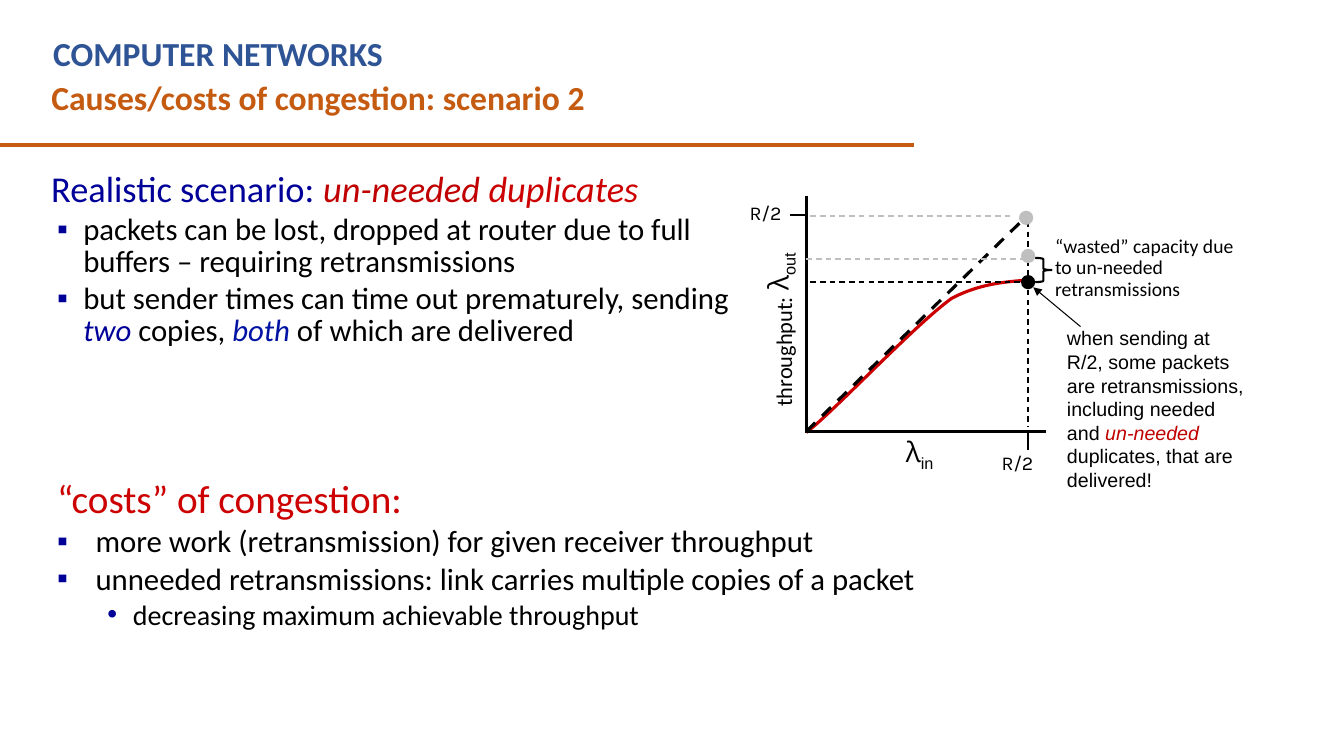
from lxml.etree import SubElement
from pptx import Presentation
from pptx.dml.color import RGBColor
from pptx.enum.dml import MSO_LINE
from pptx.enum.shapes import MSO_CONNECTOR, MSO_SHAPE
from pptx.enum.text import MSO_ANCHOR, MSO_AUTO_SIZE, PP_ALIGN
from pptx.oxml.ns import qn
from pptx.util import Cm, Pt

# Colours
BLACK, GREY, NAVY, RED, DARK_RED = "000000", "BFBFBF", "000099", "CC0000", "C00000"
HEADING, ORANGE = "2F5496", "C55A11"

# Content: a paragraph is (runs, format), a run is (text, format)
SQUARE = dict(bullet="▪", before=4.4)
SCENARIO = [
    ([("Realistic scenario: ", dict(size=26, color=NAVY)),
      ("un-needed ", dict(size=26, color=DARK_RED, italic=True)),
      ("duplicates", dict(size=26, color=RED, italic=True))], dict(indent=(0.97, -0.97))),
    ([("packets can be lost, dropped at router due to full buffers – requiring retransmissions", {})],
     dict(SQUARE, indent=(0.81, -0.66))),
    ([("but sender times can time out prematurely, sending ", {}),
      ("two ", dict(color=NAVY, italic=True)), ("copies, ", {}),
      ("both", dict(color="0013A3", italic=True)),
      (" of which are delivered", {})], dict(SQUARE, indent=(0.81, -0.66))),
]
COSTS = [
    ([("“costs” of congestion:", dict(size=28, color=RED))], dict(indent=(0.97, -0.97))),
    ([("more work (retransmission) for given receiver throughput", {})],
     dict(SQUARE, indent=(0.97, -0.97))),
    ([("unneeded retransmissions: link carries multiple copies of a packet", {})],
     dict(SQUARE, indent=(0.97, -0.97))),
    ([("decreasing maximum achievable throughput", dict(size=20))],
     dict(bullet="•", before=4, level=1, indent=(1.91, -0.64))),
]
NOTE = [([("when sending at R/2, some packets are retransmissions, including needed and ", {}),
          ("un-needed", dict(color=DARK_RED, italic=True)),
          (" duplicates, that are delivered!", {})], {})]
WASTED = "“wasted” capacity due to un-needed retransmissions"

# Chart geometry in cm
X0, Y0 = 20.32, 10.87            # origin
X_HALF, Y_HALF = 25.91, 5.41     # R/2 on each axis
Y_GOODPUT = 7.11
LINES = [  # x1, y1, x2, y2, colour, width, dashed
    (X0, 4.93, X0, 10.92, BLACK, 2, False),
    (X_HALF, 5.59, X_HALF, 10.77, BLACK, 1, True),
    (X0, Y0, X_HALF, Y_HALF, BLACK, 2.25, True),
    (X0 - 0.41, Y_HALF, X0, Y_HALF, BLACK, 1.5, False),
    (X_HALF, 10.92, X_HALF, 11.35, BLACK, 1.5, False),
    (X0 + 0.1, 5.44, 25.53, 5.44, GREY, 1, True),
    (X0, Y0, 26.37, Y0, BLACK, 2, False),
    (X0, 6.53, 25.81, 6.53, GREY, 1, True),
    (X0 + 0.1, Y_GOODPUT, X_HALF, Y_GOODPUT, BLACK, 1, True),
]
DOT = 0.36
DOTS = [(25.86, 5.49, GREY), (X_HALF, 6.45, GREY), (X_HALF, Y_GOODPUT, BLACK)]
CURVE = [  # cubic Bezier segments
    ((X0, 10.9), (21.03, 10.36), (23.01, 8.23), (23.98, 7.52)),
    ((23.98, 7.52), (24.49, 7.26), (24.99, 7.11), (25.93, 7.06)),
]
HALF_LABELS = [(18.64, 4.93), (24.99, 11.25)]
LAMBDAS = [("in", 22.58, 10.82, 1.6, 1.32, 0), ("out", 18.31, 5.72, 2.59, 1.12, 270)]

prs = Presentation()
prs.slide_width, prs.slide_height = Cm(33.87), Cm(19.05)
slide = prs.slides.add_slide(prs.slide_layouts[5])
shapes = slide.shapes


def rgb(color):
    return RGBColor.from_string(color)


def add_run(p, text, size=22, font="Calibri", color=BLACK, bold=False, italic=False, base=0):
    r = p.add_run()
    r.text = text
    f = r.font
    f.size, f.name, f.bold, f.italic = Pt(size), font, bold, italic
    f.color.rgb = rgb(color)
    if base:
        r._r.get_or_add_rPr().set("baseline", str(base))


def format_paragraph(p, spacing, before=0, indent=None, bullet=None, level=0):
    p.alignment, p.level = PP_ALIGN.LEFT, level
    p.line_spacing, p.space_before = spacing, Pt(before)
    pPr = p._p.get_or_add_pPr()
    if indent:
        pPr.set("marL", str(Cm(indent[0])))
        pPr.set("indent", str(Cm(indent[1])))
    if bullet:
        clr = SubElement(pPr, qn("a:buClr"))
        SubElement(clr, qn("a:srgbClr")).set("val", NAVY)
        SubElement(pPr, qn("a:buFont")).set("typeface", "Arial")
        SubElement(pPr, qn("a:buChar")).set("char", bullet)


def add_text(content, x, y, w, h, sp=None, spacing=1.0, rotation=0, **fmt):
    """Write a string or a list of paragraphs in a text box or placeholder."""
    sp = sp or shapes.add_textbox(0, 0, 0, 0)
    sp.left, sp.top, sp.width, sp.height = Cm(x), Cm(y), Cm(w), Cm(h)
    sp.rotation = rotation
    tf = sp.text_frame
    tf.word_wrap, tf.auto_size = True, MSO_AUTO_SIZE.NONE
    tf.vertical_anchor = MSO_ANCHOR.TOP
    if isinstance(content, str):
        content = [([(content, {})], {})]
    for i, (runs, layout) in enumerate(content):
        p = tf.add_paragraph() if i else tf.paragraphs[0]
        format_paragraph(p, spacing, **layout)
        for text, run_fmt in runs:
            add_run(p, text, **{**fmt, **run_fmt})


def set_line(line, color, width, dashed=False):
    line.color.rgb, line.width = rgb(color), Pt(width)
    if dashed:
        line.dash_style = MSO_LINE.DASH


def add_line(x1, y1, x2, y2, color, width, dashed=False, arrow=False):
    c = shapes.add_connector(MSO_CONNECTOR.STRAIGHT, Cm(x1), Cm(y1), Cm(x2), Cm(y2))
    set_line(c.line, color, width, dashed)
    if arrow:
        SubElement(c.line._get_or_add_ln(), qn("a:tailEnd")).set("type", "triangle")
    SubElement(c._element.spPr, qn("a:effectLst"))


def bezier(points, t):
    weights = ((1 - t) ** 3, 3 * t * (1 - t) ** 2, 3 * t * t * (1 - t), t ** 3)
    return tuple(Cm(sum(k * pt[axis] for k, pt in zip(weights, points))) for axis in (0, 1))


# Headings and rule
add_line(0, 3.66, 23.04, 3.66, ORANGE, 3)
add_text("COMPUTER NETWORKS", 1.09, 0.71, 20.83, 1.27, size=24, color=HEADING, bold=True)
add_text("Causes/costs of congestion: scenario 2", 1.04, 1.8, 22.23, 1.27,
         sp=shapes.title, size=24, color=ORANGE, bold=True)

# Body text
add_text(COSTS, 1.19, 12.01, 23.06, 5.99, spacing=0.85)
add_text(SCENARIO, 1.04, 4.22, 17.6, 5.79, spacing=0.85)

# Throughput curve
steps = 16
points = [bezier(seg, i / steps) for seg in CURVE for i in range(steps + 1)]
builder = shapes.build_freeform(*points[0])
builder.add_line_segments(points[1:], close=False)
curve = builder.convert_to_shape()
curve.shadow.inherit = False
curve.fill.background()
set_line(curve.line, RED, 2.25)

# Axes, guides and dots
for line in LINES:
    add_line(*line)
for x, y, color in DOTS:
    dot = shapes.add_shape(MSO_SHAPE.OVAL, Cm(x - DOT / 2), Cm(y - DOT / 2), Cm(DOT), Cm(DOT))
    dot.shadow.inherit = False
    dot.fill.solid()
    dot.fill.fore_color.rgb = rgb(color)
    dot.line.fill.background()

# Axis labels
for x, y in HALF_LABELS:
    add_text("R/2", x, y, 2.26, 0.86, size=14, font="Karla")
for sub, x, y, w, h, rotation in LAMBDAS:
    label = [([("λ", dict(font="Open Sans")), (sub, dict(font="Arial", base=-25000))], {})]
    add_text(label, x, y, w, h, rotation=rotation, size=20)
add_text("throughput:", 18.03, 8.31, 3.43, 0.94, rotation=270, size=16)

# Annotations
brace = shapes.add_shape(MSO_SHAPE.RIGHT_BRACE, Cm(26.09), Cm(6.5), Cm(0.41), Cm(0.61))
brace.adjustments[0] = 0.08
brace.shadow.inherit = False
brace.fill.background()
set_line(brace.line, BLACK, 1.5)
add_text(WASTED, 26.34, 5.84, 5.05, 1.88, spacing=0.9, size=14)
add_line(27.23, 8.23, 26.04, 7.24, BLACK, 0.75, arrow=True)
add_text(NOTE, 26.64, 8.1, 5, 4.45, size=14, font="Arial")

prs.save("out.pptx")
